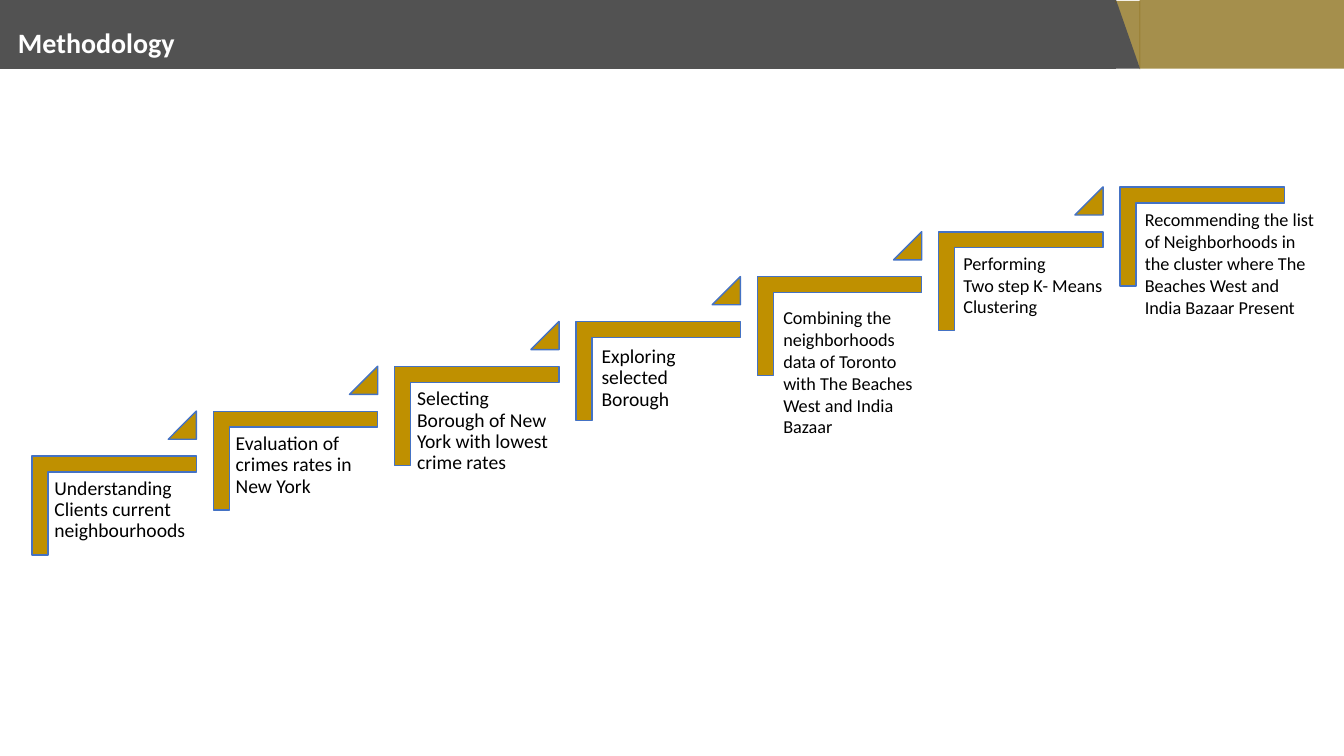
"""Build the Methodology slide: a seven-step rising staircase under a header band."""
import pptx
import pptx.dml.color
import pptx.enum.shapes
import pptx.enum.text
import pptx.oxml.ns
import pptx.util
import lxml.etree

Cm = pptx.util.Cm
Pt = pptx.util.Pt
PRESET = pptx.enum.shapes.MSO_SHAPE
COLORS = {"band": "525252", "accent": "806000", "step": "BF9000",
          "outline": "4472C4", "text": "000000", "title": "FFFFFF"}

presentation = pptx.Presentation()
presentation.slide_width = Cm(33.87)
presentation.slide_height = Cm(19.05)
slide = presentation.slides.add_slide(presentation.slide_layouts[5])


def add_filled_shape(preset, left, top, width, height, fill, outline=None, opacity=100):
    """Add a preset shape with a solid fill, and an outline if one is named."""
    shape = slide.shapes.add_shape(preset, Cm(left), Cm(top), Cm(width), Cm(height))
    shape.shadow.inherit = False
    shape.fill.solid()
    shape.fill.fore_color.rgb = pptx.dml.color.RGBColor.from_string(COLORS[fill])
    if opacity < 100:
        color = shape.element.spPr.find(".//" + pptx.oxml.ns.qn("a:srgbClr"))
        alpha = lxml.etree.SubElement(color, pptx.oxml.ns.qn("a:alpha"))
        alpha.set("val", str(opacity * 1000))
    if outline:
        shape.line.color.rgb = pptx.dml.color.RGBColor.from_string(COLORS[outline])
        shape.line.width = Pt(1)
    else:
        shape.line.fill.background()
    return shape


def format_text(shape, text, size, color, inset, bold=False, spacing=1.0):
    """Write left-aligned, top-anchored text into a shape."""
    frame = shape.text_frame
    frame.text = text
    frame.word_wrap = True
    frame.auto_size = pptx.enum.text.MSO_AUTO_SIZE.NONE
    frame.vertical_anchor = pptx.enum.text.MSO_ANCHOR.TOP
    frame.margin_left = frame.margin_right = Cm(inset[0])
    frame.margin_top = frame.margin_bottom = Cm(inset[1])
    for paragraph in frame.paragraphs:
        paragraph.alignment = pptx.enum.text.PP_ALIGN.LEFT
        paragraph.line_spacing = spacing
        for run in paragraph.runs:
            run.font.name = "Calibri"
            run.font.size = Pt(size)
            run.font.bold = bold
            run.font.color.rgb = pptx.dml.color.RGBColor.from_string(COLORS[color])


add_filled_shape(PRESET.RECTANGLE, 0, 0, 28.12, 1.74, "band")
add_filled_shape(PRESET.RECTANGLE, 28.72, 0, 5.15, 1.73, "accent", opacity=70)
accent_slant = add_filled_shape(PRESET.RIGHT_TRIANGLE, 28.1, 0.02, 0.63, 1.73, "accent", opacity=70)
accent_slant.rotation = 180
add_filled_shape(PRESET.RIGHT_TRIANGLE, 28.12, -0.02, 0.61, 1.75, "band")

title = slide.shapes.title
title.left, title.top, title.width, title.height = Cm(0.2), Cm(0.51), Cm(4.5), Cm(1.12)
format_text(title, "Methodology", 20, "title", (0.25, 0.13), bold=True)
title.element.getparent().append(title.element)

STEP_COUNT, STEP_RUN, STEP_RISE = 7, 4.57, 1.13
for step in range(STEP_COUNT):
    across, up = step * STEP_RUN, step * STEP_RISE
    corner = add_filled_shape(PRESET.CORNER, 1.63 + across, 10.67 - up, 2.49, 4.14, "step", "outline")
    corner.rotation = 90
    corner.adjustments[0] = corner.adjustments[1] = 0.161
    if step < STEP_COUNT - 1:
        arrow = add_filled_shape(PRESET.ISOSCELES_TRIANGLE, 4.24 + across, 10.36 - up,
                                 0.71, 0.71, "step", "outline")
        arrow.adjustments[0] = 1

GROUPED = (3.73, 3.28, 14, (0.15, 0.15), 0.9)
COMBINED = (3.68, 3.28, 13, (0.13, 0.13), 1.0)
WIDE = (4.78, 3.02, 13, (0.25, 0.13), 1.0)
labels = [
    ("Understanding Clients current neighbourhoods", 1.22, 11.91, GROUPED),
    ("Evaluation of crimes rates in New York", 5.79, 10.78, GROUPED),
    ("Selecting Borough of New York with lowest crime rates", 10.36, 9.65, GROUPED),
    ("Exploring selected Borough", 15.01, 8.59, GROUPED),
    ("Combining the neighborhoods data of Toronto with The Beaches West and India Bazaar",
     19.61, 7.59, COMBINED),
    ("Performing\nTwo step K- Means Clustering", 24.03, 6.22, WIDE),
    ("Recommending the list of Neighborhoods in the cluster where The Beaches West "
     "and India Bazaar Present", 28.6, 5.13, WIDE),
]
for text, left, top, (width, height, size, inset, spacing) in labels:
    label = slide.shapes.add_textbox(Cm(left), Cm(top), Cm(width), Cm(height))
    format_text(label, text, size, "text", inset, spacing=spacing)

presentation.save("out.pptx")
